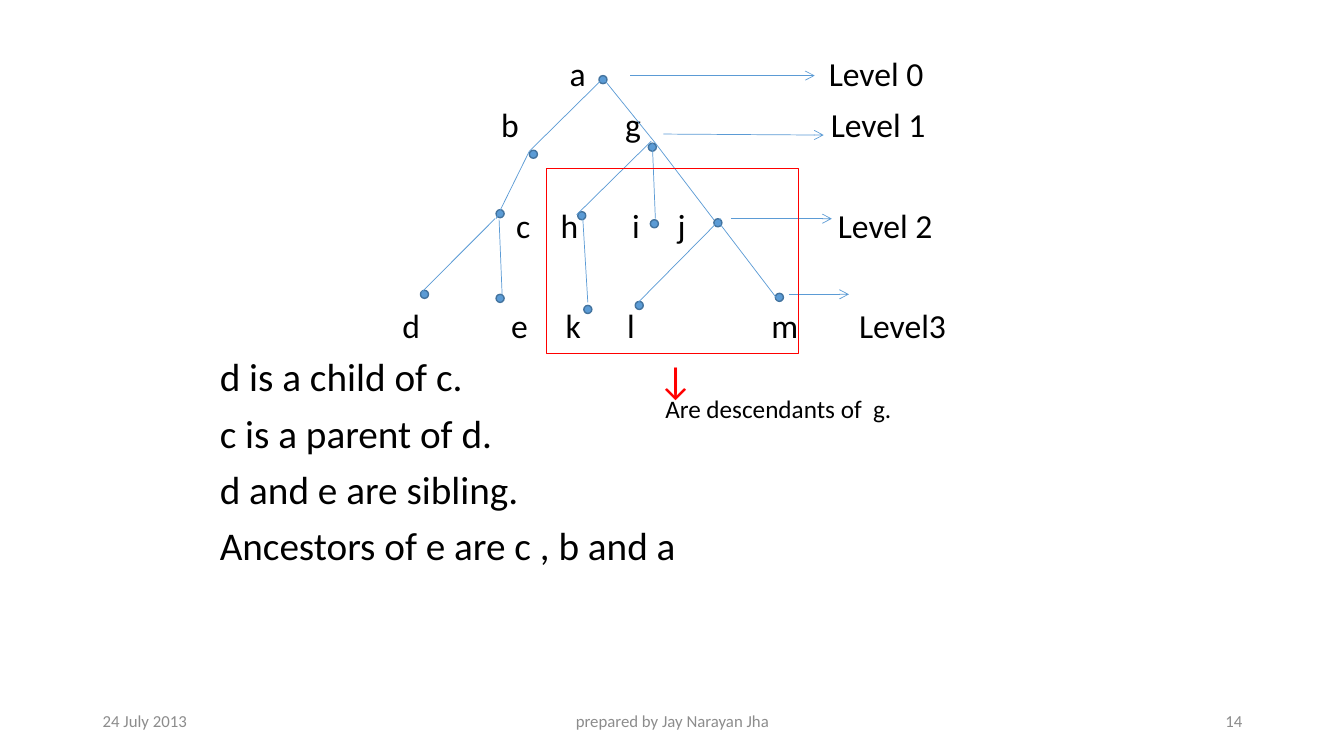
from pptx import Presentation, util as u
from pptx.dml.color import RGBColor
from pptx.enum import shapes, text
from pptx.oxml.ns import qn
from lxml import etree

WIDE, HIGH = 13.33, 7.5
BLUE, EDGE, RED, GRAY, BLACK = "5B9BD5", "43739E", "FF0000", "8C8C8C", "000000"
TOP, PITCH, DOT = 0.73, 0.5, 0.08

FACTS = ["d is a child of c.", "c is a parent of d.", "d and e are sibling.",
         "Ancestors of e are c , b and a"]
ROWS = {
    0: [("a", 5.65), ("Level 0", 8.22)],
    1: [("b", 4.97), ("g", 6.2), ("Level 1", 8.24)],
    3: [("c", 5.12), ("h", 5.56), ("i", 6.27), ("j", 6.72), ("Level 2", 8.31)],
    5: [("d", 3.99), ("e", 5.07), ("k", 5.61), ("l", 6.22), ("m", 7.65), ("Level3", 8.52)],
}
NODES = {
    "a": (5.94, 0.75), "b": (5.25, 1.49), "g": (6.43, 1.42), "c": (4.92, 2.08),
    "h": (5.73, 2.1), "i": (6.45, 2.18), "j": (7.08, 2.17), "d": (4.17, 2.88),
    "e": (4.92, 2.92), "k": (5.79, 3.03), "l": (6.3, 2.99), "m": (7.69, 2.91),
}
EDGES = [
    (5.99, 0.77, 5.25, 1.5), (6, 0.8, 6.5, 1.42), (5.25, 1.5, 4.92, 2.17),
    (6.46, 1.4, 5.72, 2.13), (6.47, 1.42, 6.5, 2.17), (6.5, 1.42, 7.08, 2.18),
    (4.91, 2.17, 4.18, 2.9), (4.95, 2.18, 4.98, 2.92), (5.78, 2.16, 5.83, 3),
    (7.15, 2.17, 6.33, 3), (7.14, 2.22, 7.72, 2.98),
]
ARROWS = [(6.25, 0.75, 8.08, 0.75), (6.58, 1.33, 8.17, 1.34),
          (7.25, 2.17, 8.25, 2.17), (7.83, 2.92, 8.42, 2.92)]
LEFT, MID, RIGHT = text.PP_ALIGN.LEFT, text.PP_ALIGN.CENTER, text.PP_ALIGN.RIGHT
FOOT = [("24 July 2013", 0.92, 3, LEFT), ("prepared by Jay Narayan Jha", 4.42, 4.5, MID),
        ("14", 9.42, 3, RIGHT)]

deck = Presentation()
deck.slide_width, deck.slide_height = u.Inches(WIDE), u.Inches(HIGH)
page = deck.slides.add_slide(deck.slide_layouts[1])
title, body = page.placeholders
title.element.getparent().remove(title.element)


def tint(code):
    return RGBColor.from_string(code)


def inch(*nums):
    return [u.Inches(n) for n in nums]


def style(para, size, color, align):
    para.alignment = align
    font = para.font
    font.name, font.size, font.color.rgb = "Calibri", u.Pt(size), tint(color)


def write(words, x, y, w, h, size=24, color=BLACK, align=LEFT, pad=0, wrap=False):
    box = page.shapes.add_textbox(*inch(x, y, w, h))
    frame = box.text_frame
    frame.word_wrap = wrap
    frame.vertical_anchor = text.MSO_ANCHOR.MIDDLE
    frame.margin_left = frame.margin_right = u.Inches(pad)
    frame.margin_top = frame.margin_bottom = 0
    frame.text = words
    style(frame.paragraphs[0], size, color, align)


def shape(kind, x, y, w, h, line, width, fill=None):
    item = page.shapes.add_shape(kind, *inch(x, y, w, h))
    item.shadow.inherit = False
    if fill:
        item.fill.solid()
        item.fill.fore_color.rgb = tint(fill)
    else:
        item.fill.background()
    item.line.color.rgb, item.line.width = tint(line), u.Pt(width)


def link(ends, head=False):
    item = page.shapes.add_connector(shapes.MSO_CONNECTOR.STRAIGHT, *inch(*ends))
    item.line.color.rgb, item.line.width = tint(BLUE), u.Pt(0.5)
    if head:
        etree.SubElement(item.line._get_or_add_ln(), qn("a:tailEnd"), type="arrow")
    etree.SubElement(item.element.spPr, qn("a:effectLst"))


body.left, body.top, body.width, body.height = inch(2.08, 3.5, 9, 2.87)
frame = body.text_frame
frame.text = "\n".join(FACTS)
for n, para in enumerate(frame.paragraphs):
    props = para._p.get_or_add_pPr()
    props.set("marL", "0")
    props.set("indent", "0")
    etree.SubElement(props, qn("a:buNone"))
    para.line_spacing, para.space_before = 0.9, u.Pt(10 if n else 0)
    style(para, 28, BLACK, LEFT)

for row, labels in ROWS.items():
    for name, x in labels:
        write(name, x, TOP + PITCH * row - 0.2, 1.2 if len(name) > 1 else 0.25, 0.4)
write("↓", 6.45, 3.56, 0.5, 0.4, size=28, color=RED, align=MID)

for x, y in NODES.values():
    shape(shapes.MSO_SHAPE.OVAL, x, y, DOT, DOT, EDGE, 1, BLUE)
for ends in EDGES:
    link(ends)
for ends in ARROWS:
    link(ends, head=True)

for words, x, w, align in FOOT:
    write(words, x, 6.95, w, 0.4, size=12, color=GRAY, align=align, pad=0.1, wrap=True)
shape(shapes.MSO_SHAPE.RECTANGLE, 5.42, 1.67, 2.5, 1.83, RED, 0.25)
write("Are descendants of  g.", 6.5, 3.85, 2.47, 0.4, size=18, pad=0.1)

deck.save("out.pptx")
